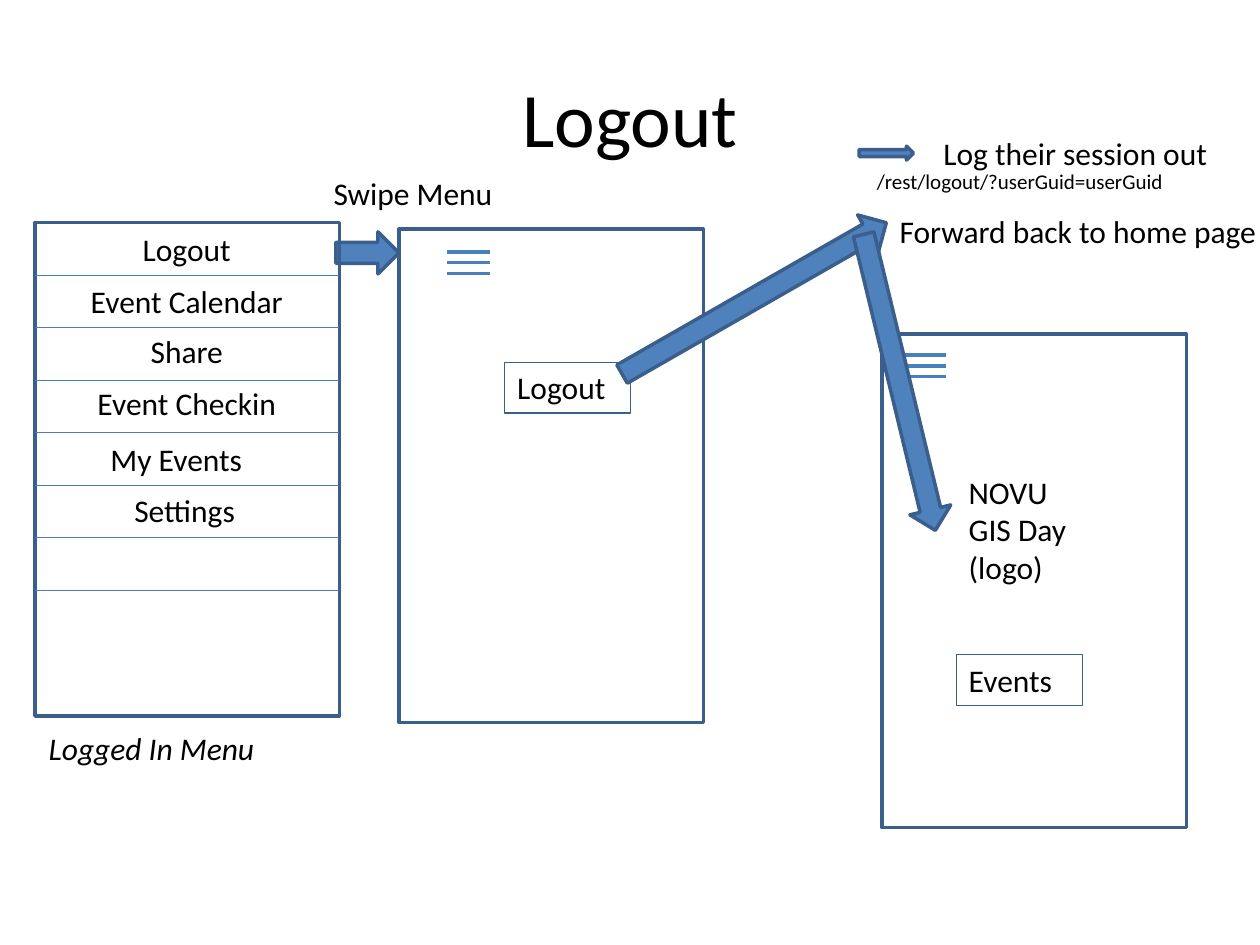
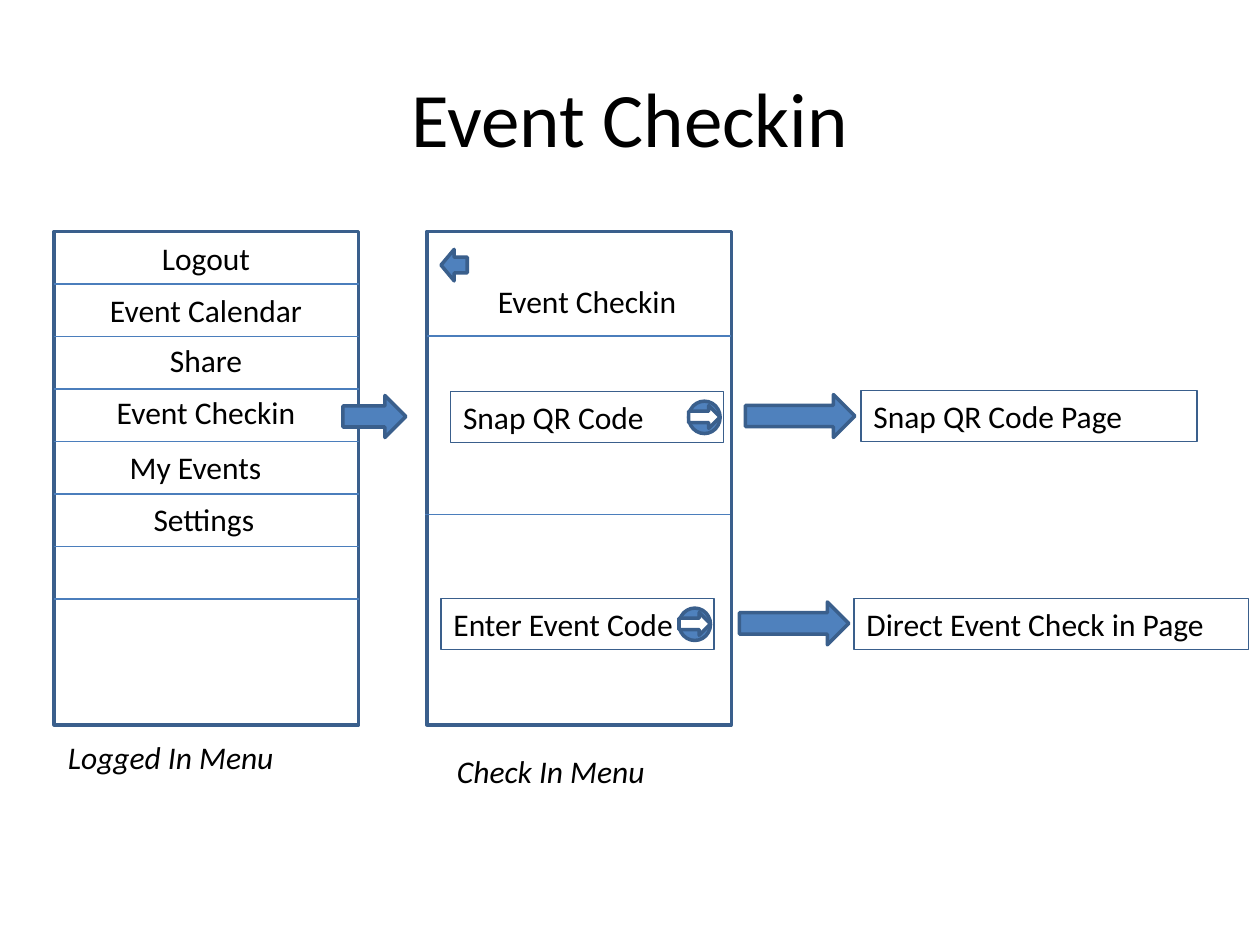
from dataclasses import dataclass
from typing import Union

import pptx
import pptx.dml.color
import pptx.enum.shapes
import pptx.enum.text
import pptx.oxml
import pptx.shapes.autoshape
import pptx.shapes.shapetree
import pptx.slide
import pptx.util

Pt = pptx.util.Pt
RGB = pptx.dml.color.RGBColor
Kind = pptx.enum.shapes.MSO_SHAPE
Align = pptx.enum.text.PP_ALIGN
Shapes = Union[pptx.shapes.shapetree.SlideShapes, pptx.shapes.shapetree.GroupShapes]


@dataclass(frozen=True)
class Theme:
    font: str = "Calibri"
    text: RGB = RGB(0, 0, 0)
    white: RGB = RGB(255, 255, 255)
    fill: RGB = RGB(0x4F, 0x81, 0xBD)
    outline: RGB = RGB(0x3A, 0x5F, 0x8C)
    rule: RGB = RGB(0x4B, 0x7E, 0xBC)
    title_size: float = 44
    body_size: float = 18
    small_size: float = 12
    thick: float = 2
    thin: float = 0.75


THEME = Theme()
SCREEN_WIDTH, SCREEN_HEIGHT = 174, 282
ROW_HEIGHT, ROW_RULES = 30, 7
LABEL_HEIGHT = 29


@dataclass(frozen=True)
class Box:
    left: float
    top: float
    width: float
    height: float = LABEL_HEIGHT


@dataclass(frozen=True)
class Label:
    text: str
    box: Box
    size: float = THEME.body_size
    align: Align = Align.LEFT
    italic: bool = False
    framed: bool = False
    wrap: bool = True


@dataclass(frozen=True)
class Solid:
    kind: Kind
    box: Box
    rotation: float = 0
    fill: RGB = THEME.fill


@dataclass(frozen=True)
class MenuEntry:
    text: str
    drop: float
    indent: float = 0.75
    width: float = 172
    align: Align = Align.CENTER


@dataclass(frozen=True)
class CheckInOption:
    text: str
    left: float
    top: float
    arrow: Box
    target: str
    target_box: Box


MENU_ENTRIES = (
    MenuEntry("Logout", 0.75),
    MenuEntry("Event Calendar", 30.5),
    MenuEntry("Share", 59),
    MenuEntry("Event Checkin", 88.5),
    MenuEntry("My Events", 120.5, 36, 90, Align.LEFT),
    MenuEntry("Settings", 149.75, -0.5),
)


def style_text(frame: pptx.text.text.TextFrame, size: float, italic: bool = False,
               align: Align = Align.LEFT) -> None:
    for para in frame.paragraphs:
        para.alignment = align
        for span in para.runs:
            span.font.name = THEME.font
            span.font.size = Pt(size)
            span.font.color.rgb = THEME.text
            span.font.italic = italic


def add_label(shapes: Shapes, label: Label) -> None:
    box = label.box
    shape = shapes.add_textbox(Pt(box.left), Pt(box.top), Pt(box.width), Pt(box.height))
    frame = shape.text_frame
    frame.text = label.text
    frame.word_wrap = label.wrap
    frame.auto_size = pptx.enum.text.MSO_AUTO_SIZE.SHAPE_TO_FIT_TEXT
    style_text(frame, label.size, label.italic, label.align)
    if label.framed:
        shape.line.color.rgb = THEME.outline
        shape.line.width = Pt(THEME.thin)


def add_outlined(shapes: Shapes, kind: Kind, box: Box) -> pptx.shapes.autoshape.Shape:
    shape = shapes.add_shape(kind, Pt(box.left), Pt(box.top), Pt(box.width), Pt(box.height))
    shape.shadow.inherit = False
    shape.line.color.rgb = THEME.outline
    shape.line.width = Pt(THEME.thick)
    return shape


def add_screen(shapes: Shapes, left: float, top: float) -> None:
    screen = add_outlined(shapes, Kind.RECTANGLE, Box(left, top, SCREEN_WIDTH, SCREEN_HEIGHT))
    screen.fill.background()


def add_solid(shapes: Shapes, solid: Solid) -> None:
    shape = add_outlined(shapes, solid.kind, solid.box)
    shape.rotation = solid.rotation
    shape.fill.solid()
    shape.fill.fore_color.rgb = solid.fill


def add_rule(shapes: Shapes, left: float, top: float, width: float, weight: float) -> None:
    rule = shapes.add_connector(pptx.enum.shapes.MSO_CONNECTOR.STRAIGHT,
                                Pt(left), Pt(top), Pt(left + width), Pt(top))
    rule.line.color.rgb = THEME.rule
    rule.line.width = Pt(weight)
    rule._element.spPr.append(pptx.oxml.parse_xml(
        '<a:effectLst xmlns:a="http://schemas.openxmlformats.org/drawingml/2006/main"/>'))


def add_menu_icon(shapes: Shapes, left: float, top: float) -> None:
    for bar in range(3):
        add_rule(shapes, left, top + 6.1 * bar, 24.5, THEME.thick)


def add_logged_in_menu(slide: pptx.slide.Slide, left: float, top: float) -> None:
    shapes = slide.shapes.add_group_shape().shapes
    add_screen(shapes, left, top)
    for row in range(1, ROW_RULES + 1):
        add_rule(shapes, left, top + ROW_HEIGHT * row, SCREEN_WIDTH, THEME.thin)
    for entry in MENU_ENTRIES:
        box = Box(left + entry.indent, top + entry.drop, entry.width)
        add_label(shapes, Label(entry.text, box, align=entry.align))
    caption = Box(left + 0.75, top + 286, 133)
    add_label(shapes, Label("Logged In Menu", caption, italic=True, wrap=False))


def add_option(shapes: Shapes, option: CheckInOption) -> None:
    left, top = option.left, option.top
    add_label(shapes, Label(option.text, Box(left, top, 156), framed=True))
    add_solid(shapes, Solid(Kind.OVAL, Box(left + 136, top + 5.5, 18, 18.5)))
    add_solid(shapes, Solid(Kind.RIGHT_ARROW, Box(left + 136, top + 8, 18, 13),
                            fill=THEME.white))


def add_titled_slide(deck: pptx.presentation.Presentation, title: str) -> pptx.slide.Slide:
    slide = deck.slides.add_slide(deck.slide_layouts.get_by_name("Title Only"))
    shape = slide.shapes.title
    shape.left, shape.top, shape.width, shape.height = Pt(36), Pt(21.6), Pt(648), Pt(90)
    shape.text_frame.text = title
    shape.text_frame.vertical_anchor = pptx.enum.text.MSO_ANCHOR.MIDDLE
    style_text(shape.text_frame, THEME.title_size, align=Align.CENTER)
    return slide


def build_logout(deck: pptx.presentation.Presentation) -> None:
    slide = add_titled_slide(deck, "Logout")
    shapes = slide.shapes

    # App screen and home page
    add_screen(shapes, 228, 131)
    add_menu_icon(shapes, 255.5, 144)
    add_screen(shapes, 504, 191)
    add_menu_icon(shapes, 516, 203)

    # Buttons and notes
    for label in (
        Label("Logout", Box(288.5, 207, 72), framed=True),
        Label("Swipe Menu", Box(183.5, 96, 106.5), wrap=False),
        Label("/rest/logout/?userGuid=userGuid", Box(494, 93, 179.5, 21.5),
              size=THEME.small_size, wrap=False),
        Label("Log their session out", Box(532, 73, 167), wrap=False),
        Label("NOVU\vGIS Day\n(logo)", Box(546.5, 266.5, 102, 72.5)),
        Label("Events", Box(546.5, 374, 72), framed=True),
        Label("Forward back to home page", Box(507, 117.5, 221), wrap=False),
    ):
        add_label(shapes, label)

    # Flow arrows
    for box, rotation in (
        (Box(344, 158.5, 174, 24), 330.2),
        (Box(491, 83.5, 31, 8), 0),
        (Box(427, 206.5, 174, 24), 76.4),
        (Box(192, 132.5, 36, 24), 0),
    ):
        add_solid(shapes, Solid(Kind.RIGHT_ARROW, box, rotation))

    add_logged_in_menu(slide, 20, 127.25)


def build_check_in(deck: pptx.presentation.Presentation) -> None:
    slide = add_titled_slide(deck, "Event Checkin")
    add_logged_in_menu(slide, 31, 132.25)
    add_solid(slide.shapes, Solid(Kind.RIGHT_ARROW, Box(196, 226, 36, 24)))

    options = (
        CheckInOption("Enter Event Code", 252, 342, Box(422.5, 344, 62.5, 24.5),
                      "Direct Event Check in Page", Box(488, 342, 225.5)),
        CheckInOption("Snap QR Code", 257.5, 223.75, Box(426, 225.5, 62.5, 24.5),
                      "Snap QR Code Page", Box(492, 223.25, 192)),
    )

    # Check-in screen
    screen = slide.shapes.add_group_shape().shapes
    add_screen(screen, 244, 132.25)
    add_solid(screen, Solid(Kind.DOWN_ARROW, Box(250.5, 144, 18, 15), 90))
    add_label(screen, Label("Event Checkin", Box(266.5, 157.75, 138), align=Align.CENTER))
    for option in options:
        add_option(screen, option)
    add_rule(screen, 244, 192, SCREEN_WIDTH, THEME.thin)
    add_rule(screen, 243, 294, SCREEN_WIDTH, THEME.thin)
    add_label(screen, Label("Check In Menu", Box(254, 426, 123), italic=True, wrap=False))

    # Pages the options lead to
    for option in options:
        add_solid(slide.shapes, Solid(Kind.RIGHT_ARROW, option.arrow))
        add_label(slide.shapes, Label(option.target, option.target_box, framed=True))


def main() -> None:
    deck = pptx.Presentation()
    deck.slide_width, deck.slide_height = Pt(720), Pt(540)
    build_logout(deck)
    build_check_in(deck)
    deck.save("out.pptx")


main()
